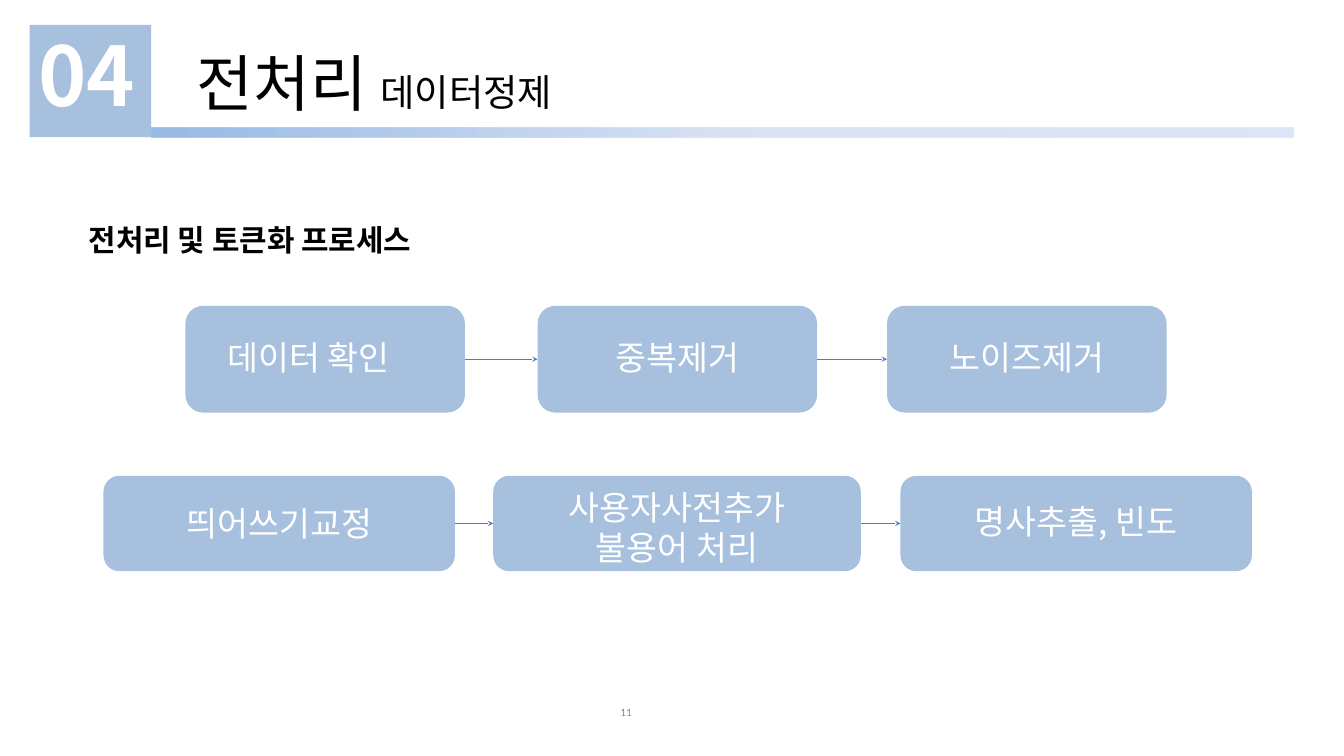
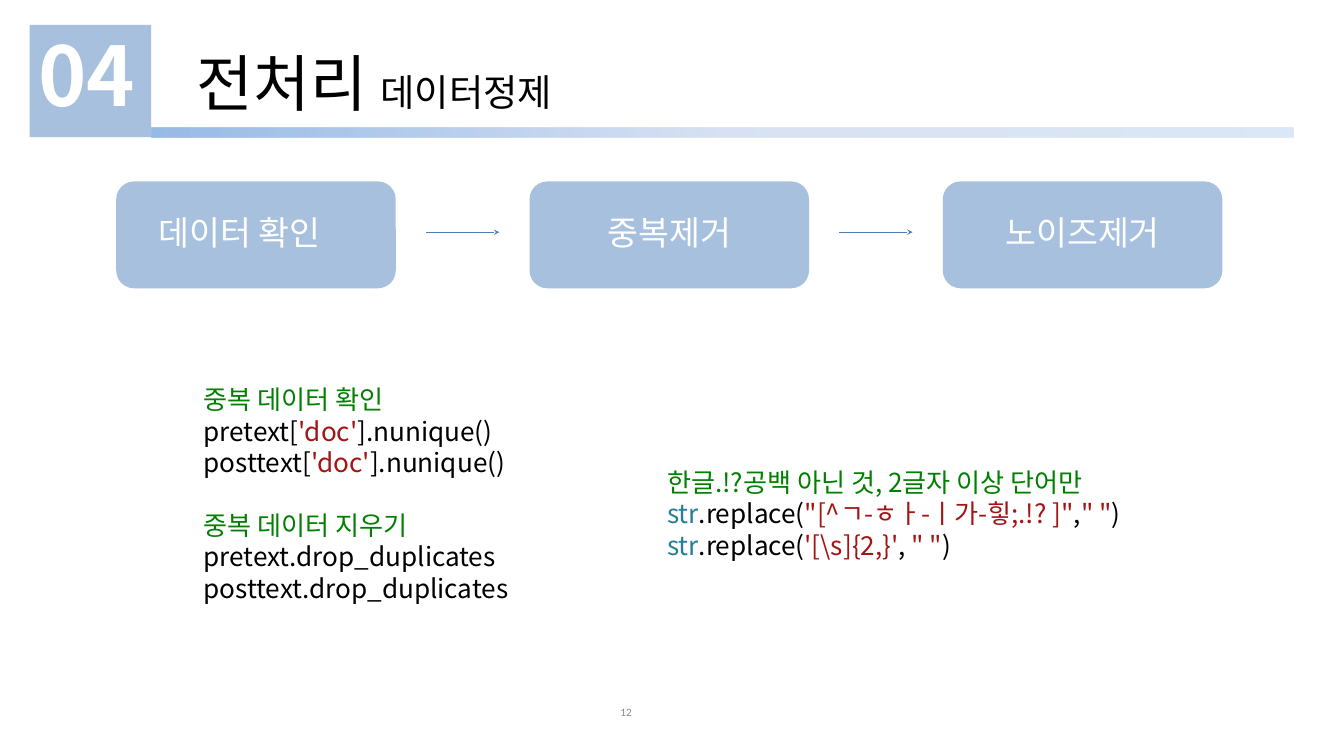
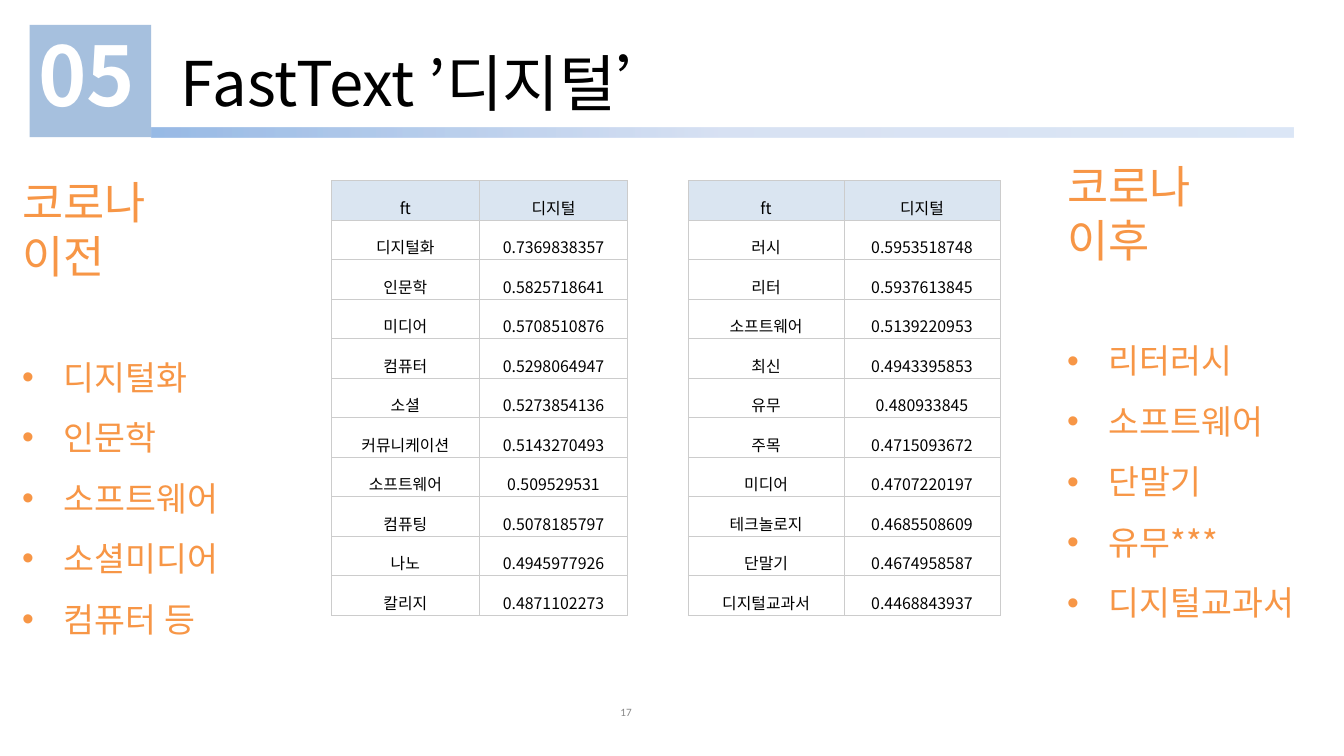
from itertools import pairwise
from lxml.etree import SubElement as Sub
from pptx import Presentation
from pptx.dml.color import RGBColor
from pptx.enum.shapes import MSO_CONNECTOR as Link, MSO_SHAPE as Form
from pptx.enum.text import MSO_ANCHOR as Anchor, MSO_AUTO_SIZE as Fit, PP_ALIGN as Align
from pptx.oxml.ns import qn
from pptx.util import Inches, Pt

FONT = "Noto Sans CJK KR"
BLUE, WHITE, BLACK, GREY = "93B3D7", "FFFFFF", "000000", "888888"
ARROW, HEAD, RULE, ORANGE = "4A7DBA", "DAE5F1", "CCCCCC", "F79646"
GREEN, RED, TEAL = "008000", "A31515", "267F99"
BAND = [(0, "538CD5"), (50, "BFCFEC"), (100, "C5D8F1")]
TITLE_ONLY, TWO_PARTS = 5, 3
CLEAN = [("전처리 ", 66), ("데이터정제", 40)]


def rgb(code):
    """Turn a hex string into a colour."""
    return RGBColor.from_string(code)


def tint(parent, code, alpha=100):
    """Add a colour element with an opacity in percent."""
    node = Sub(parent, qn("a:srgbClr"), val=code)
    if alpha < 100:
        Sub(node, qn("a:alpha"), val=str(alpha * 1000))


def write(para, text, size, color, bold=False, font=FONT):
    """Add one formatted run."""
    run = para.add_run()
    run.text = text
    run.font.size, run.font.bold, run.font.name = Pt(size), bold, font
    run.font.color.rgb = rgb(color)
    Sub(run._r.get_or_add_rPr(), qn("a:ea"), typeface=font)


def frame(shape, anchor=Anchor.TOP, wrap=True, pads=(0.1, 0.05, 0.1, 0.05)):
    """Set up the text frame of a shape and return it."""
    text = shape.text_frame
    text.word_wrap, text.auto_size, text.vertical_anchor = wrap, Fit.NONE, anchor
    text.margin_left, text.margin_top, text.margin_right, text.margin_bottom = map(Inches, pads)
    return text


def lines(text):
    """Yield paragraphs without end, starting with the first one."""
    yield text.paragraphs[0]
    while True:
        yield text.add_paragraph()


def move(shape, box):
    """Place a shape in a box given in inches."""
    shape.left, shape.top, shape.width, shape.height = map(Inches, box)


def block(slide, form, box):
    """Add a translucent blue shape."""
    shape = slide.shapes.add_shape(form, *map(Inches, box))
    shape.shadow.inherit = False
    shape.line.fill.background()
    shape.fill.solid()
    shape.fill.fore_color.rgb = rgb(BLUE)
    color = shape.fill._xPr.find(qn("a:solidFill"))[0]
    Sub(color, qn("a:alpha"), val="82000")
    return shape


def label(slide, box, text, size, color, bold=False, font=FONT, align=Align.LEFT, anchor=Anchor.TOP):
    """Add a text box with one line."""
    para = frame(slide.shapes.add_textbox(*map(Inches, box)), anchor).paragraphs[0]
    para.alignment = align
    write(para, text, size, color, bold, font)


def band(slide, box):
    """Add the fading rule under the title."""
    shape = block(slide, Form.RECTANGLE, box)
    props = shape._element.spPr
    solid = props.find(qn("a:solidFill"))
    fade = Sub(props, qn("a:gradFill"), rotWithShape="1")
    stops = Sub(fade, qn("a:gsLst"))
    for place, code in BAND:
        tint(Sub(stops, qn("a:gs"), pos=str(place * 1000)), code, 60)
    Sub(fade, qn("a:lin"), ang="0", scaled="0")
    props.replace(solid, fade)


def header(slide, number, parts, left):
    """Add the chapter number, the band and the title."""
    square = block(slide, Form.RECTANGLE, (0.44, 0.37, 1.81, 1.67))
    para = frame(square, wrap=False, pads=(0.13, 0, 0, 0)).paragraphs[0]
    para.alignment = Align.LEFT
    write(para, number, 88, WHITE, True)
    band(slide, (2.25, 1.9, 17, 0.14))
    title = slide.shapes.title
    move(title, (left, 0.62, 14, 1.2))
    para = frame(title).paragraphs[0]
    para.alignment = Align.LEFT
    for text, size in parts:
        write(para, text, size, BLACK)


def start(deck, layout, number, parts, left=2.83):
    """Add a slide with its header."""
    slide = deck.slides.add_slide(deck.slide_layouts[layout])
    header(slide, number, parts, left)
    return slide


def footer(slide, page):
    """Add the page number in the clear space at the foot."""
    label(slide, (7.17, 10.4, 2.33, 0.4), page, 12, GREY, font="Calibri",
          align=Align.RIGHT, anchor=Anchor.MIDDLE)


def arrow(slide, left, right, top):
    """Draw a level arrow."""
    link = slide.shapes.add_connector(Link.STRAIGHT, *map(Inches, (left, top, right, top)))
    link.line.color.rgb, link.line.width = rgb(ARROW), Pt(0.75)
    Sub(link.line._get_or_add_ln(), qn("a:tailEnd"), type="stealth")
    Sub(link._element.spPr, qn("a:effectLst"))


def flow(slide, top, high, steps, gap=0, lift=0):
    """Draw a row of steps joined by arrows."""
    for left, wide, text, drop, inset in steps:
        shape = block(slide, Form.ROUNDED_RECTANGLE, (left, top, wide, high))
        body = frame(shape, pads=(inset or 0.1, drop, 0.1, 0))
        for para, words in zip(lines(body), text.split("\n")):
            para.alignment = Align.LEFT if inset else Align.CENTER
            write(para, words, 36, WHITE)
    for (left, wide, *_), (end, *_) in pairwise(steps):
        arrow(slide, left + wide + gap, end - gap, top + high / 2 - lift)


def clean(lefts):
    """Return the three cleaning steps at the given places."""
    words = [("데이터 확인", 0.55), ("중복제거", 0), ("노이즈제거", 0)]
    return [(left, 4.16, text, 0.38, inset) for left, (text, inset) in zip(lefts, words)]


def code(shape, box, rows):
    """Fill a body with coloured code; a green row after the first opens a new group."""
    move(shape, box)
    for spot, (para, row) in enumerate(zip(lines(frame(shape)), rows)):
        para.alignment = Align.LEFT
        para.space_before = Pt(33.7 if spot and row[0][1] == GREEN else 0)
        props = para._p.get_or_add_pPr()
        props.set("marL", "0")
        props.set("indent", "0")
        Sub(props, qn("a:buNone"))
        for text, color in row:
            write(para, text, 28, color)


def points(shape, box, heads, items):
    """Fill a body with a two-line heading and a bullet list."""
    move(shape, box)
    rows = [(text, 48) for text in heads] + [(text, 36) for text in items]
    for spot, (para, (text, size)) in enumerate(zip(lines(frame(shape)), rows)):
        listed = spot >= len(heads)
        para.alignment = Align.LEFT
        para.line_spacing = 1.5 if listed else 1.0
        para.space_before = Pt(58 if spot == len(heads) else 0)
        props = para._p.get_or_add_pPr()
        dent = Inches(0.62) if listed else 0
        props.set("marL", str(dent))
        props.set("indent", str(-dent))
        if listed:
            tint(Sub(props, qn("a:buClr")), ORANGE)
            Sub(props, qn("a:buChar"), char="•")
        else:
            Sub(props, qn("a:buNone"))
        write(para, text, size, ORANGE)


def edge(cell):
    """Draw the four thin borders of a cell."""
    props = cell._tc.get_or_add_tcPr()
    for spot, side in enumerate("LRTB"):
        line = Sub(props, qn(f"a:ln{side}"), w=str(Pt(0.75)))
        tint(Sub(line, qn("a:solidFill")), RULE)
        props.insert(spot, line)


def grid(slide, box, rows):
    """Add a table of words and scores."""
    rows = [("ft", "디지털")] + rows
    table = slide.shapes.add_table(len(rows), 2, *map(Inches, box)).table
    table.first_row = table.horz_banding = False
    for col in table.columns:
        col.width = Inches(box[2] / 2)
    for r, row in enumerate(rows):
        table.rows[r].height = Inches(box[3] / len(rows))
        for c, text in enumerate(row):
            cell = table.cell(r, c)
            cell.vertical_anchor = Anchor.BOTTOM
            cell.margin_left = cell.margin_right = Inches(0.03)
            cell.margin_top = cell.margin_bottom = Inches(0.02)
            if r:
                cell.fill.background()
            else:
                cell.fill.solid()
                cell.fill.fore_color.rgb = rgb(HEAD)
            edge(cell)
            para = cell.text_frame.paragraphs[0]
            para.alignment, para.line_spacing = Align.CENTER, 1.15
            write(para, text, 17, BLACK)


def process(deck):
    """Build the slide with the whole process."""
    slide = start(deck, TITLE_ONLY, "04", CLEAN)
    label(slide, (1.22, 3.25, 5.51, 0.64), "전처리 및 토큰화 프로세스", 32, BLACK, True)
    flow(slide, 4.55, 1.59, clean((2.76, 8, 13.2)))
    flow(slide, 7.08, 1.42, [
        (1.54, 5.23, "띄어쓰기교정", 0.34, 0),
        (7.34, 5.47, "사용자사전추가\n불용어 처리", 0.09, 0),
        (13.4, 5.23, "명사추출, 빈도", 0.31, 0),
    ])
    footer(slide, "11")


def scrub(deck):
    """Build the slide with the cleaning code."""
    slide = start(deck, TWO_PARTS, "04", CLEAN)
    flow(slide, 2.7, 1.59, clean([1.73 + 6.15 * n for n in range(3)]), 0.45, 0.04)
    names = ("pretext", "posttext")
    count = [[(f"{name}[", BLACK), ("'doc'", RED), ("].nunique()", BLACK)] for name in names]
    drop = [[(f"{name}.drop_duplicates", BLACK)] for name in names]
    code(slide.placeholders[1], (2.93, 5.66, 6.8, 3.4),
         [[("중복 데이터 확인", GREEN)], *count, [("중복 데이터 지우기", GREEN)], *drop])
    swaps = [('"[^ㄱ-ㅎㅏ-ㅣ가-힣;.!? ]"', ","), (r"'[\s]{2,}'", ", ")]
    calls = [[("str", TEAL), (".replace(", BLACK), (find, RED), (comma, BLACK),
              ('" "', RED), (")", BLACK)] for find, comma in swaps]
    code(slide.placeholders[2], (9.83, 6.89, 9.1, 1.51),
         [[("한글.!?공백 아닌 것, 2글자 이상 단어만", GREEN)], *calls])
    footer(slide, "12")


def nearby(deck):
    """Build the slide that compares the nearest words."""
    slide = start(deck, TWO_PARTS, "05", [("FastText ’디지털’", 66)], 2.59)
    points(slide.placeholders[1], (0.23, 2.55, 4.21, 7.07), ["코로나", "이전"],
           ["디지털화", "인문학", "소프트웨어", "소셜미디어", "컴퓨터 등"])
    grid(slide, (10.24, 2.69, 4.64, 6.47), [
        ("러시", "0.5953518748"), ("리터", "0.5937613845"),
        ("소프트웨어", "0.5139220953"), ("최신", "0.4943395853"),
        ("유무", "0.480933845"), ("주목", "0.4715093672"),
        ("미디어", "0.4707220197"), ("테크놀로지", "0.4685508609"),
        ("단말기", "0.4674958587"), ("디지털교과서", "0.4468843937"),
    ])
    grid(slide, (4.93, 2.69, 4.41, 6.47), [
        ("디지털화", "0.7369838357"), ("인문학", "0.5825718641"),
        ("미디어", "0.5708510876"), ("컴퓨터", "0.5298064947"),
        ("소셜", "0.5273854136"), ("커뮤니케이션", "0.5143270493"),
        ("소프트웨어", "0.509529531"), ("컴퓨팅", "0.5078185797"),
        ("나노", "0.4945977926"), ("칼리지", "0.4871102273"),
    ])
    points(slide.placeholders[2], (15.78, 2.31, 3.73, 7.07), ["코로나", "이후"],
           ["리터러시", "소프트웨어", "단말기", "유무***", "디지털교과서"])
    footer(slide, "17")


def main():
    """Build and save the deck."""
    deck = Presentation()
    deck.slide_width, deck.slide_height = Inches(20), Inches(11.25)
    for build in (process, scrub, nearby):
        build(deck)
    deck.save("out.pptx")


if __name__ == "__main__":
    main()
